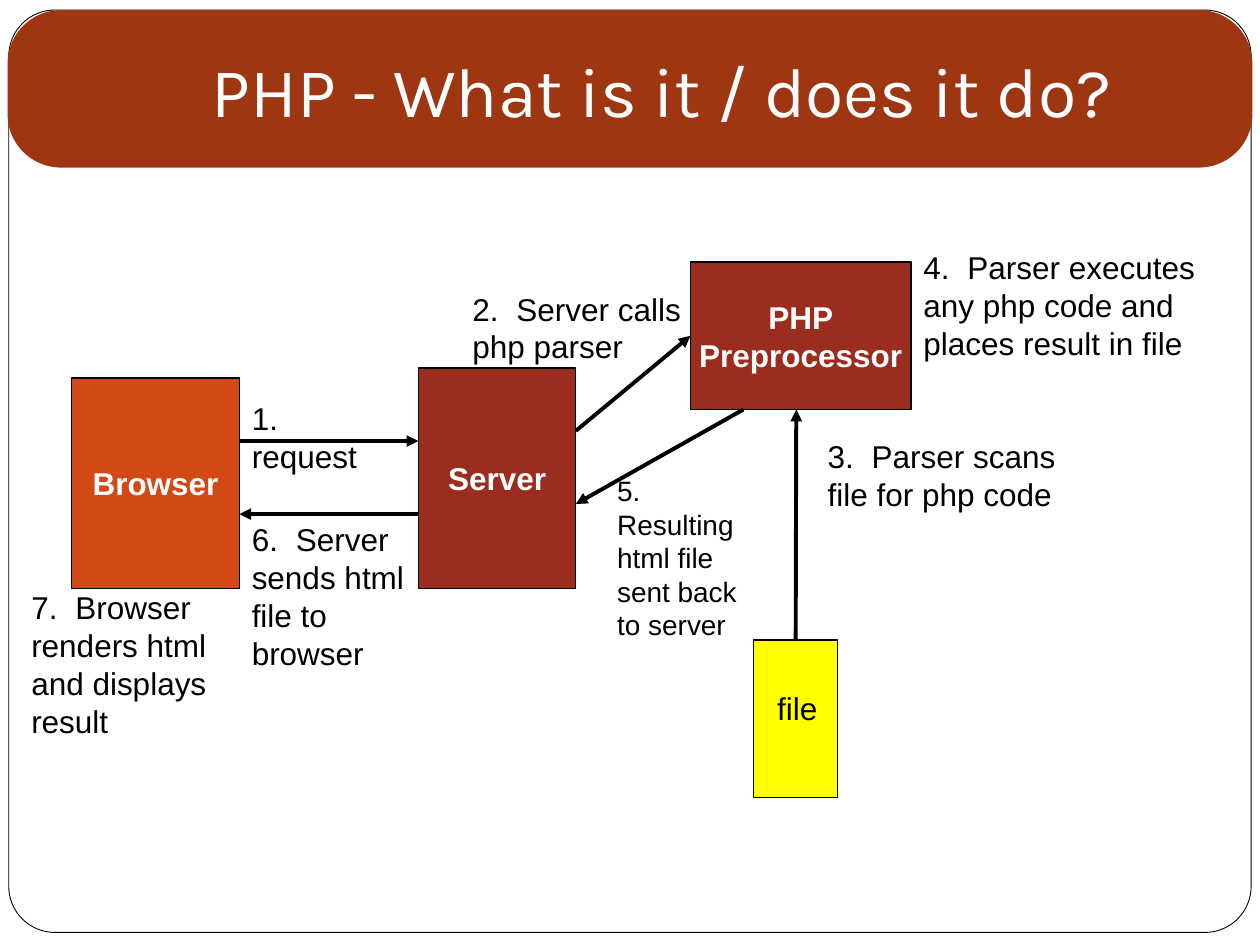
from dataclasses import dataclass
from typing import Optional

import pptx
import pptx.dml.color
import pptx.enum.shapes
import pptx.enum.text
import pptx.oxml
import pptx.oxml.ns
import pptx.util
from pptx.util import Inches, Pt

COLORS = {
    "white": "FFFFFF",
    "black": "000000",
    "banner": "9E3611",
    "browser": "D34817",
    "server": "9B2D1F",
    "file": "FFFF00",
}
SHAPE = pptx.enum.shapes.MSO_SHAPE
ALIGN = pptx.enum.text.PP_ALIGN
ANCHOR = pptx.enum.text.MSO_ANCHOR


@dataclass
class Box:
    left: float
    top: float
    width: float
    height: float
    fill: str
    text: str = ""
    line_width: float = 0.75
    corner: Optional[float] = None


@dataclass
class Label:
    left: float
    top: float
    width: float
    height: float
    text: str
    size: int = 18
    wrap: bool = True


@dataclass
class Arrow:
    start: tuple[float, float]
    end: tuple[float, float]
    start_joint: Optional[tuple[str, int]] = None
    end_joint: Optional[tuple[str, int]] = None


PANEL = Box(0.07, 0.08, 9.86, 7.32, "white", line_width=0.5, corner=0.05)
BANNER = Box(0.06, 0.08, 9.88, 1.25, "banner", line_width=0, corner=0.34)

NODES = {
    "browser": Box(0.57, 3, 1.33, 1.67, "browser", "Browser"),
    "server": Box(3.32, 2.92, 1.25, 1.75, "server", "Server"),
    "preprocessor": Box(5.48, 2.08, 1.75, 1.17, "server", "PHP\nPreprocessor"),
    "file": Box(5.98, 5.08, 0.67, 1.25, "file"),
}

ARROWS = [
    Arrow((1.9, 3.5), (3.32, 3.5)),
    Arrow((4.57, 3.42), (5.48, 2.67), end_joint=("preprocessor", 1)),
    Arrow((6.32, 5.08), (6.32, 3.25), start_joint=("file", 0)),
    Arrow((5.9, 3.25), (4.57, 4)),
    Arrow((3.32, 4.08), (1.9, 4.08)),
]

LABELS = [
    Label(6.07, 5.42, 0.52, 0.4, "file", wrap=False),
    Label(1.9, 3.12, 1.38, 0.4, "1.\trequest", wrap=False),
    Label(3.65, 2.25, 2, 0.7, "2.\tServer calls php parser"),
    Label(6.47, 3.42, 2.35, 0.7, "3.\tParser scans file for php code"),
    Label(7.23, 1.92, 2.68, 1,
          "4.\tParser executes any php code and places result in file"),
    Label(4.8, 3.71, 1.35, 1.44,
          "5. Resulting html file sent back to server", size=16),
    Label(1.9, 4.08, 1.5, 1.3, "6.\tServer sends html file to browser"),
    Label(0.15, 4.62, 1.83, 1.3, "7.\tBrowser renders html and displays result"),
]


def rgb(name: str) -> pptx.dml.color.RGBColor:
    return pptx.dml.color.RGBColor.from_string(COLORS[name])


def format_font(font, size: int, color: str, name: str = "Arial",
                bold: bool = False) -> None:
    font.name = name
    font.size = Pt(size)
    font.bold = bold
    font.color.rgb = rgb(color)


def add_box(slide, box: Box):
    kind = SHAPE.RECTANGLE if box.corner is None else SHAPE.ROUNDED_RECTANGLE
    shape = slide.shapes.add_shape(kind, Inches(box.left), Inches(box.top),
                                   Inches(box.width), Inches(box.height))
    if box.corner is not None:
        shape.adjustments[0] = box.corner
    shape.shadow.inherit = False
    shape.fill.solid()
    shape.fill.fore_color.rgb = rgb(box.fill)
    if box.line_width:
        shape.line.color.rgb = rgb("black")
        shape.line.width = Pt(box.line_width)
    else:
        shape.line.fill.background()
    if box.text:
        frame = shape.text_frame
        frame.word_wrap = False
        frame.vertical_anchor = ANCHOR.MIDDLE
        frame.text = box.text
        for paragraph in frame.paragraphs:
            paragraph.alignment = ALIGN.CENTER
            format_font(paragraph.runs[0].font, 18, "white", bold=True)
    return shape


def add_tab_stop(paragraph, position: float) -> None:
    properties = paragraph._p.get_or_add_pPr()
    properties.append(pptx.oxml.parse_xml(
        f'<a:tabLst {pptx.oxml.ns.nsdecls("a")}>'
        f'<a:tab pos="{Inches(position)}" algn="l"/></a:tabLst>'))


def add_label(slide, label: Label) -> None:
    textbox = slide.shapes.add_textbox(Inches(label.left), Inches(label.top),
                                       Inches(label.width), Inches(label.height))
    frame = textbox.text_frame
    frame.word_wrap = label.wrap
    frame.auto_size = pptx.enum.text.MSO_AUTO_SIZE.SHAPE_TO_FIT_TEXT
    frame.text = label.text
    paragraph = frame.paragraphs[0]
    if "\t" in label.text:
        add_tab_stop(paragraph, 0.35)
    format_font(paragraph.runs[0].font, label.size, "black")


def add_arrow(slide, arrow: Arrow, nodes: dict) -> None:
    connector = slide.shapes.add_connector(
        pptx.enum.shapes.MSO_CONNECTOR.STRAIGHT,
        *map(Inches, arrow.start), *map(Inches, arrow.end))
    if arrow.start_joint:
        node, side = arrow.start_joint
        connector.begin_connect(nodes[node], side)
    if arrow.end_joint:
        node, side = arrow.end_joint
        connector.end_connect(nodes[node], side)
    connector.line.color.rgb = rgb("black")
    connector.line.width = Pt(2.25)
    namespace = pptx.oxml.ns.nsdecls("a")
    connector.line._get_or_add_ln().append(
        pptx.oxml.parse_xml(f'<a:tailEnd {namespace} type="triangle"/>'))
    connector.element.spPr.append(
        pptx.oxml.parse_xml(f"<a:effectLst {namespace}/>"))


def set_title(slide, text: str) -> None:
    """Fill the title and bring it in front of the banner."""
    title = slide.shapes.title
    title.left, title.top = Inches(1), Inches(0.11)
    title.width, title.height = Inches(8.5), Inches(1.25)
    frame = title.text_frame
    frame.text = text
    frame.word_wrap = True
    frame.vertical_anchor = ANCHOR.MIDDLE
    frame.margin_bottom = Inches(0.1)
    frame.paragraphs[0].alignment = ALIGN.CENTER
    format_font(frame.paragraphs[0].runs[0].font, 40, "white", "Karla")
    title.element.getparent().append(title.element)


def main() -> None:
    presentation = pptx.Presentation()
    presentation.slide_width = Inches(10)
    presentation.slide_height = Inches(7.5)
    slide = presentation.slides.add_slide(presentation.slide_layouts[5])
    add_box(slide, PANEL)
    add_box(slide, BANNER)
    set_title(slide, "PHP - What is it / does it do?")
    nodes = {name: add_box(slide, box) for name, box in NODES.items()}
    for arrow in ARROWS:
        add_arrow(slide, arrow, nodes)
    for label in LABELS:
        add_label(slide, label)
    presentation.save("out.pptx")


if __name__ == "__main__":
    main()
